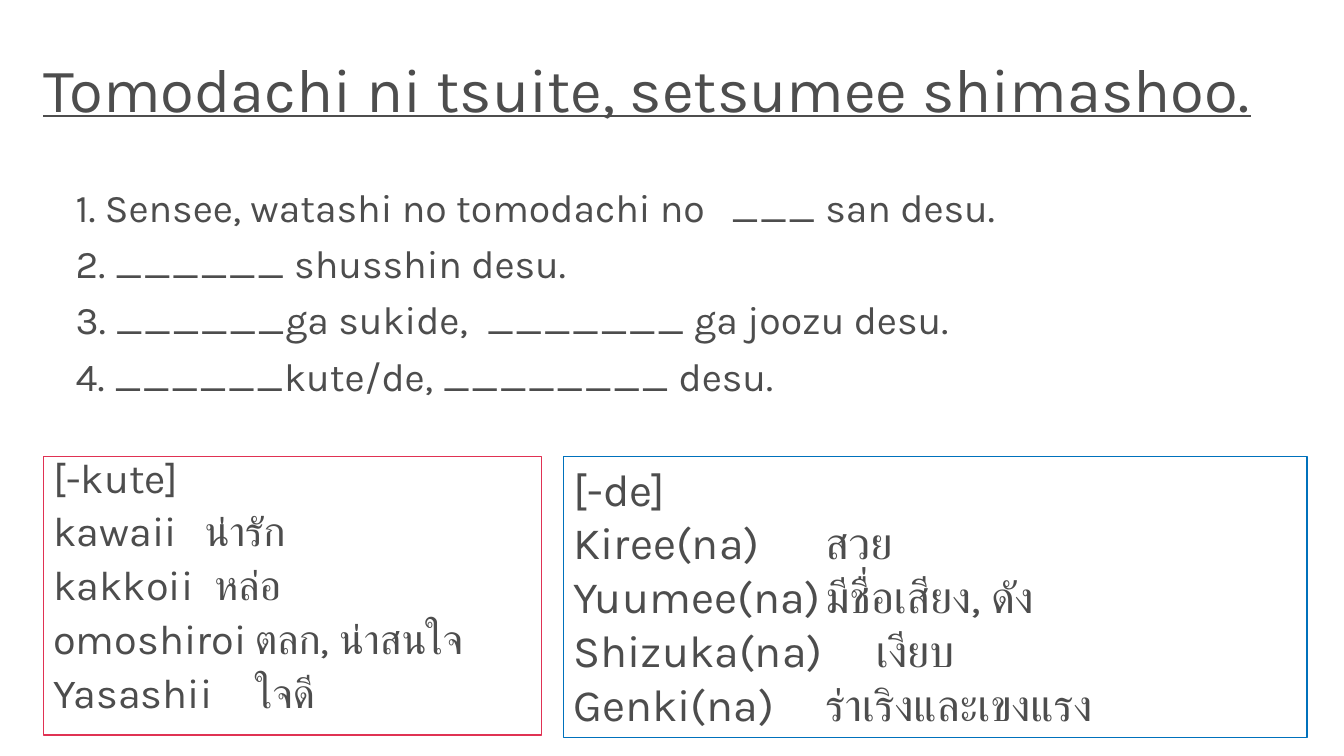
from pptx import Presentation
from pptx.dml.color import RGBColor
from pptx.enum.shapes import MSO_SHAPE
from pptx.enum.text import MSO_ANCHOR, PP_ALIGN
from pptx.util import Pt

FONT = "Karla"
GREY = "4D4D4D"
SENTENCES = [
    "1. Sensee, watashi no tomodachi no\t___ san desu.",
    "2. ______ shusshin desu.",
    "3. ______ga sukide,  _______ ga joozu desu.",
    "4. ______kute/de, ________ desu.",
]
KUTE_WORDS = [
    "[-kute]",
    "kawaii\tน่ารัก",
    "kakkoii\t หล่อ",
    "omoshiroi\tตลก, น่าสนใจ",
    "Yasashii \tใจดี",
]
DE_WORDS = [
    "[-de]",
    "Kiree(na)\t\tสวย",
    "Yuumee(na)\tมีชื่อเสียง, ดัง",
    "Shizuka(na)\t\tเงียบ",
    "Genki(na)\t\tร่าเริงและเขงแรง",
]


def rgb(color):
    """Turn a hex string into a colour."""
    return RGBColor.from_string(color)


def write_lines(sp, lines, size, spacing=1.0, gap=0, anchor=MSO_ANCHOR.TOP, underline=None):
    """Fill a shape with one left-aligned paragraph per line."""
    tf = sp.text_frame
    tf.word_wrap = True
    tf.vertical_anchor = anchor
    for i, line in enumerate(lines):
        p = tf.add_paragraph() if i else tf.paragraphs[0]
        p.text = line
        p.alignment = PP_ALIGN.LEFT
        p.line_spacing = spacing
        p.space_before = Pt(gap if i else 0)
        for r in p.runs:
            r.font.name = FONT
            r.font.size = Pt(size)
            r.font.color.rgb = rgb(GREY)
            r.font.underline = underline


def add_title(s, box, text):
    """Place the underlined heading in its box."""
    sp = s.shapes.add_textbox(*map(Pt, box))
    write_lines(sp, [text], 44, 0.9, anchor=MSO_ANCHOR.MIDDLE, underline=True)


def add_sentences(s, box, lines):
    """Place the fill-in sentences in their box."""
    sp = s.shapes.add_textbox(*map(Pt, box))
    write_lines(sp, lines, 28, 0.9, 10)


def add_word_box(s, box, lines, outline, size, spacing=1.0, gap=0):
    """Place a framed vocabulary list in its box."""
    sp = s.shapes.add_shape(MSO_SHAPE.RECTANGLE, *map(Pt, box))
    sp.shadow.inherit = False
    sp.fill.solid()
    sp.fill.fore_color.rgb = rgb("FFFFFF")
    sp.line.color.rgb = rgb(outline)
    sp.line.width = Pt(1)
    write_lines(sp, lines, size, spacing, gap)


def main():
    """Build the slide and save it."""
    prs = Presentation()
    prs.slide_width, prs.slide_height = Pt(960), Pt(540)
    s = prs.slides.add_slide(prs.slide_layouts[6])
    add_title(s, (24, 29, 916, 74), "Tomodachi ni tsuite, setsumee shimashoo.")
    add_sentences(s, (47, 131, 799, 221), SENTENCES)
    add_word_box(s, (31, 326, 356, 199), KUTE_WORDS, "E03253", 29.6, 0.8, 10)
    add_word_box(s, (402.5, 326, 531, 201), DE_WORDS, "0071BC", 32)
    prs.save("out.pptx")


if __name__ == "__main__":
    main()
